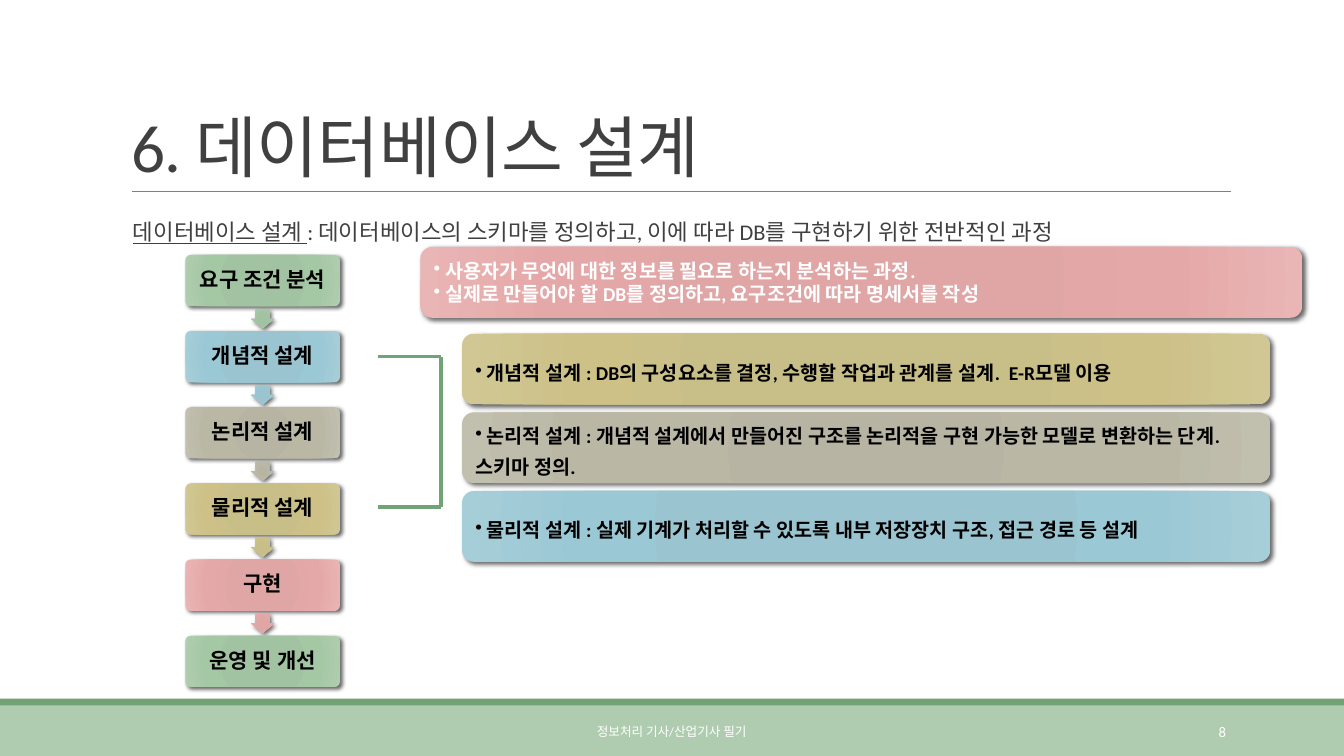
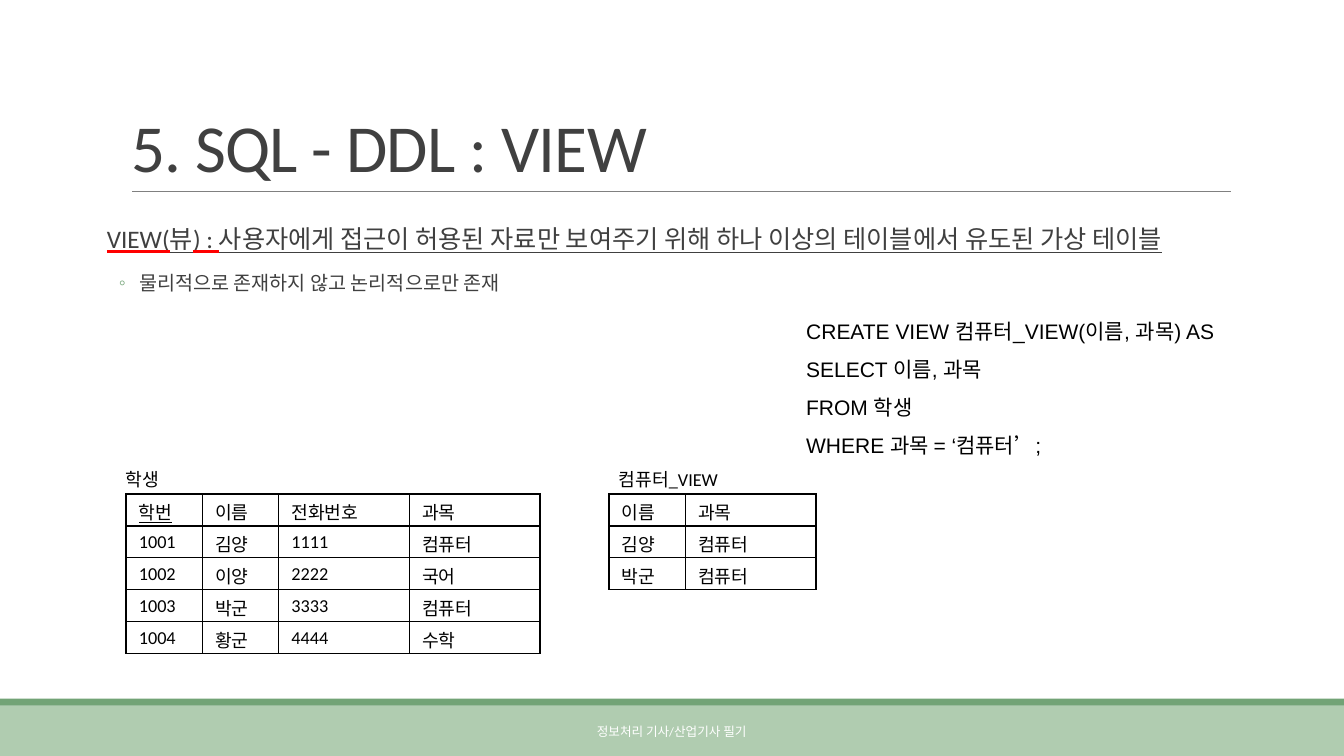
from lxml import etree
from pptx import Presentation
from pptx.dml.color import RGBColor
from pptx.enum.shapes import MSO_CONNECTOR, MSO_SHAPE
from pptx.enum.text import MSO_ANCHOR, MSO_AUTO_SIZE, PP_ALIGN
from pptx.oxml import parse_xml
from pptx.oxml.ns import qn
from pptx.util import Pt

RECT = MSO_SHAPE.RECTANGLE
ROUND = MSO_SHAPE.ROUNDED_RECTANGLE
DOWN = MSO_SHAPE.DOWN_ARROW
LINE = MSO_CONNECTOR.STRAIGHT
TOP, MID, LOW = MSO_ANCHOR.TOP, MSO_ANCHOR.MIDDLE, MSO_ANCHOR.BOTTOM
LEFT, CENTER, RIGHT = PP_ALIGN.LEFT, PP_ALIGN.CENTER, PP_ALIGN.RIGHT
NONE = MSO_AUTO_SIZE.NONE
SPACE = "http://schemas.openxmlformats.org/drawingml/2006/main"

INK, BLACK, WHITE = "404040", "000000", "FFFFFF"
PALE, DEEP, GRAY, RED = "B0CCB0", "72A376", "808080", "FF0000"
GREEN = ("A0C2A0", "A2C3A2", "A4C7A4", "AFCDAF")
BLUE = ("96C3CF", "99C4D0", "9AC8D4", "A6CED9")
STONE = ("B5B3A1", "B7B4A3", "BAB7A5", "C1BFAE")
GOLD = ("C8BD85", "C8BE88", "CDC188", "D1C794")
ROSE = ("DFA4A4", "E0A6A6", "E5A8A8", "EAB5B5")
FOOT = "정보처리 기사/산업기사 필기"


def paint(color, code):
    color.rgb = RGBColor.from_string(code)


def points(box):
    return [Pt(n) for n in box]


def style(para, size, hue, bold=False, face="Calibri", under=False):
    for run in para.runs:
        font = run.font
        font.name, font.size = face, Pt(size)
        font.bold, font.underline = bold, under
        paint(font.color, hue)


def bullet(para, mark, hang=0, edge=0, hue=None):
    props = para._p.get_or_add_pPr()
    props.set("marL", str(Pt(edge)))
    props.set("indent", str(-Pt(hang)))
    if hue:
        tint = etree.SubElement(props, qn("a:buClr"))
        etree.SubElement(tint, qn("a:srgbClr"), val=hue)
    etree.SubElement(props, qn("a:buChar"), char=mark)


def pad(frame, side, edge):
    frame.margin_left = frame.margin_right = Pt(side)
    frame.margin_top = frame.margin_bottom = Pt(edge)


def place(holder, box):
    holder.left, holder.top, holder.width, holder.height = points(box)
    holder.text_frame.auto_size = NONE
    return holder.text_frame


def label(slide, box, text, size, hue, align=LEFT, anchor=TOP, face="Calibri",
          space=None, wrap=True):
    frame = slide.shapes.add_textbox(*points(box)).text_frame
    frame.word_wrap = wrap
    frame.vertical_anchor = anchor
    frame.text = text
    for para in frame.paragraphs:
        para.alignment = align
        para.line_spacing = space
        style(para, size, hue, face=face)


def rule(slide, start, end, hue, width):
    line = slide.shapes.add_connector(LINE, *points(start + end))
    paint(line.line.color, hue)
    line.line.width = Pt(width)
    etree.SubElement(line._element.spPr, qn("a:effectLst"))


def band(slide, box, hue):
    shape = slide.shapes.add_shape(RECT, *points(box))
    shape.shadow.inherit = False
    shape.fill.solid()
    paint(shape.fill.fore_color, hue)
    shape.line.fill.background()


def gloss(slide, kind, box, hues, blur):
    shape = slide.shapes.add_shape(kind, *points(box))
    shape.fill.background()
    shape.line.fill.background()
    shape.shadow.inherit = False
    props = shape._element.spPr
    stops = "".join(
        f'<a:gs pos="{pos}000"><a:srgbClr val="{hue}"/></a:gs>'
        for pos, hue in zip((0, 34, 70, 100), hues))
    props.replace(props.find(qn("a:noFill")), parse_xml(
        f'<a:gradFill xmlns:a="{SPACE}" rotWithShape="1"><a:gsLst>{stops}</a:gsLst>'
        '<a:path path="circle"><a:fillToRect l="100000" t="100000" '
        'r="100000" b="100000"/></a:path></a:gradFill>'))
    props.find(qn("a:effectLst")).append(parse_xml(
        f'<a:outerShdw xmlns:a="{SPACE}" blurRad="{Pt(blur)}" dist="{Pt(2)}" '
        'dir="2700000" rotWithShape="0"><a:srgbClr val="000000">'
        '<a:alpha val="60000"/></a:srgbClr></a:outerShdw>'))
    return shape


def base(deck, title, page=None):
    slide = deck.slides.add_slide(deck.slide_layouts[1])
    band(slide, (0, 504, 960, 36), PALE)
    band(slide, (0, 499, 960, 5), DEEP)
    rule(slide, (94.5, 136.8), (879, 136.8), GRAY, 0.5)
    frame = place(slide.shapes.title, (86.4, 22.3, 792, 114.5))
    frame.vertical_anchor = LOW
    frame.text = title
    para = frame.paragraphs[0]
    para.alignment = LEFT
    para.line_spacing = 0.85
    style(para, 48, INK)
    para.runs[0]._r.get_or_add_rPr().set("spc", "-50")
    label(slide, (290, 508.3, 379.5, 28.8), FOOT, 9, WHITE, CENTER, MID)
    if page:
        label(slide, (779.8, 508.3, 103, 28.8), page, 10.5, WHITE, RIGHT, MID)
    return slide


def body(slide, box):
    frame = place(slide.placeholders[1], box)
    frame.vertical_anchor = TOP
    pad(frame, 0, 3.6)
    return frame


def topic(para, parts, size):
    for text, under in parts:
        run = para.add_run()
        run.text = text
    style(para, size, INK)
    for run, (text, under) in zip(para.runs, parts):
        run.font.underline = bool(under)
        if under == RED:
            run.font._element.find(qn("a:solidFill")).addnext(parse_xml(
                f'<a:uFill xmlns:a="{SPACE}"><a:solidFill>'
                f'<a:srgbClr val="{RED}"/></a:solidFill></a:uFill>'))
    spread(para, 12, 2)
    bullet(para, " ", 7.2, 7.2, DEEP)


def spread(para, before, after):
    para.line_spacing = 1.5
    para.space_before, para.space_after = Pt(before), Pt(after)


def flow(slide, box, steps):
    left, top, width, pitch = box
    tall = 36.6
    for row, (text, hues) in enumerate(steps):
        y = top + row * pitch
        card = gloss(slide, ROUND, (left, y, width, tall), hues, 3)
        card.adjustments[0] = 0.1
        frame = card.text_frame
        frame.word_wrap = True
        frame.vertical_anchor = MID
        pad(frame, 5, 4.5)
        frame.text = text
        para = frame.paragraphs[0]
        para.alignment = CENTER
        para.line_spacing = 0.9
        style(para, 15, BLACK, True)
        if row < len(steps) - 1:
            spot = (left + width / 2 - 8.25, y + tall + 2.2, 16.5, 13.7)
            arrow = gloss(slide, DOWN, spot, hues, 3)
            arrow.adjustments[0] = 0.6


def bracket(slide, box):
    left, top, width, height = box
    right, low = left + width, top + height
    for start, end in (((left, top), (right, top)),
                       ((left, low), (right, low)),
                       ((right, top), (right, low))):
        rule(slide, start, end, DEEP, 2.25)


def note(slide, box, text, hues, hue=BLACK, space=1.3):
    frame = gloss(slide, ROUND, box, hues, 3.5).text_frame
    frame.word_wrap = True
    frame.vertical_anchor = MID
    frame.text = text
    for para in frame.paragraphs:
        para.alignment = LEFT
        para.line_spacing = space
        style(para, 14, hue, True)
        bullet(para, "•")


def border(cell):
    props = cell._tc.get_or_add_tcPr()
    for spot, side in enumerate("LRTB"):
        props.insert(spot, parse_xml(
            f'<a:ln{side} xmlns:a="{SPACE}" w="{Pt(1)}"><a:solidFill>'
            f'<a:srgbClr val="{BLACK}"/></a:solidFill></a:ln{side}>'))


def grid(slide, left, top, name, shift, widths, rows, key=None):
    label(slide, (left + shift, top - 21.8, 89, 23), name, 13, BLACK, wrap=False)
    tall = 22.75
    box = (left, top, sum(widths), tall * len(rows))
    table = slide.shapes.add_table(len(rows), len(widths), *points(box)).table
    table.first_row = table.horz_banding = False
    for col, width in zip(table.columns, widths):
        col.width = Pt(width)
    for row, texts in enumerate(rows):
        table.rows[row].height = Pt(tall)
        for col, text in enumerate(texts):
            cell = table.cell(row, col)
            pad(cell, 9.2, 3.6)
            cell.fill.solid()
            paint(cell.fill.fore_color, WHITE)
            border(cell)
            cell.text = text
            style(cell.text_frame.paragraphs[0], 13, BLACK, under=text == key)


def design(deck):
    slide = base(deck, "6. 데이터베이스 설계", "8")
    frame = body(slide, (87.8, 142.6, 792, 316.8))
    topic(frame.paragraphs[0], (
        ("데이터베이스 설계 ", True),
        (": 데이터베이스의 스키마를 정의하고, 이에 따라 DB를 구현하기 위한 전반적인 과정", False)), 16)
    flow(slide, (132.4, 182.1, 110.4, 54.4), (
        ("요구 조건 분석", GREEN), ("개념적 설계", BLUE), ("논리적 설계", STONE),
        ("물리적 설계", GOLD), ("구현", ROSE), ("운영 및 개선", GREEN)))
    bracket(slide, (270, 254.9, 45, 107.3))
    note(slide, (300.2, 176.4, 630, 50.6),
         " 사용자가 무엇에 대한 정보를 필요로 하는지 분석하는 과정.\n"
         " 실제로 만들어야 할 DB를 정의하고, 요구조건에 따라 명세서를 작성",
         ROSE, WHITE, 1.0)
    notes = (
        (" 개념적 설계 : DB의 구성요소를 결정, 수행할 작업과 관계를 설계.  E-R모델 이용", GOLD),
        (" 논리적 설계 : 개념적 설계에서 만들어진 구조를 논리적을 구현 가능한 모델로 변환하는 단계. 스키마 정의.", STONE),
        (" 물리적 설계 : 실제 기계가 처리할 수 있도록 내부 저장장치 구조, 접근 경로 등 설계", BLUE))
    for row, (text, hues) in enumerate(notes):
        note(slide, (330, 238.3 + row * 56.2, 577.4, 50.6), text, hues)


def view(deck):
    slide = base(deck, "5. SQL - DDL : VIEW")
    frame = body(slide, (69.1, 145.4, 841, 84.2))
    topic(frame.paragraphs[0], (
        ("VIEW(", RED), ("뷰", True), (") : ", RED),
        ("사용자에게 접근이 허용된 자료만 보여주기 위해 하나 이상의 테이블에서 유도된 가상 테이블", True)), 18)
    para = frame.add_paragraph()
    para.text = "물리적으로 존재하지 않고 논리적으로만 존재"
    para.level = 1
    style(para, 14, INK)
    spread(para, 2, 4)
    bullet(para, "◦", 14.4, 30.2, DEEP)
    label(slide, (568.8, 215.3, 335.5, 116.6),
          "CREATE VIEW 컴퓨터_VIEW(이름, 과목) AS\nSELECT 이름, 과목\n"
          "FROM 학생\nWHERE 과목 = ‘컴퓨터’;",
          15, BLACK, face="Arial", space=1.5)
    grid(slide, 90, 352.8, "학생", -7.2, (54.5, 54.5, 93.4, 93.4), (
        ("학번", "이름", "전화번호", "과목"),
        ("1001", "김양", "1111", "컴퓨터"),
        ("1002", "이양", "2222", "국어"),
        ("1003", "박군", "3333", "컴퓨터"),
        ("1004", "황군", "4444", "수학")), "학번")
    grid(slide, 435, 352.8, "컴퓨터_VIEW", 0, (54.5, 93.4), (
        ("이름", "과목"), ("김양", "컴퓨터"), ("박군", "컴퓨터")))


def main():
    deck = Presentation()
    deck.slide_width, deck.slide_height = Pt(960), Pt(540)
    design(deck)
    view(deck)
    deck.save("out.pptx")


if __name__ == "__main__":
    main()
